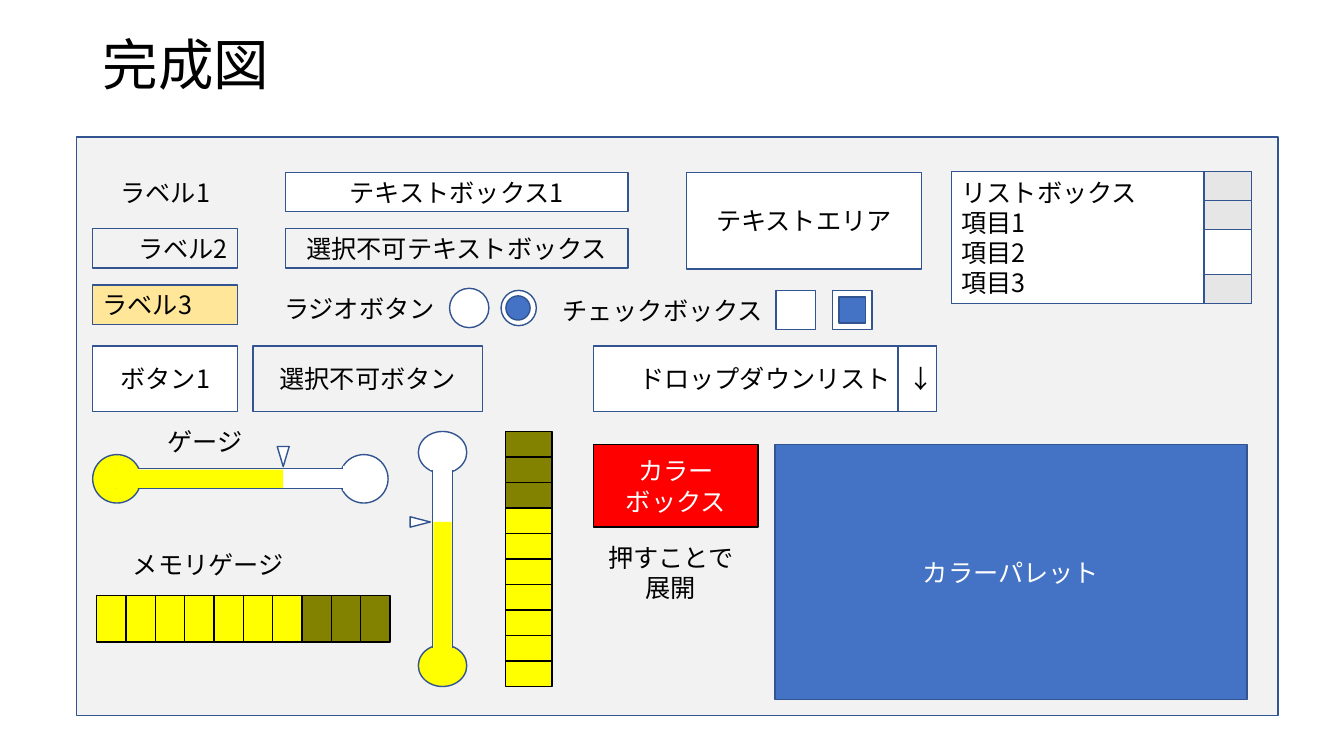
from lxml import etree
from pptx import Presentation
from pptx.dml.color import RGBColor
from pptx.enum.shapes import MSO_SHAPE
from pptx.enum.text import MSO_ANCHOR, PP_ALIGN
from pptx.oxml.ns import qn
from pptx.util import Pt

RECT, OVAL, TRI = MSO_SHAPE.RECTANGLE, MSO_SHAPE.OVAL, MSO_SHAPE.ISOSCELES_TRIANGLE
LEFT, MID, RIGHT = PP_ALIGN.LEFT, PP_ALIGN.CENTER, PP_ALIGN.RIGHT
CENTRE = MSO_ANCHOR.MIDDLE
FONT = "Noto Sans CJK JP"
BLACK = RGBColor(0, 0, 0)
WHITE = RGBColor(255, 255, 255)
GREY = RGBColor(0xF2, 0xF2, 0xF2)
SILVER = RGBColor(0xE7, 0xE6, 0xE6)
NAVY = RGBColor(0x32, 0x54, 0x91)
BLUE = RGBColor(0x44, 0x72, 0xC4)
CREAM = RGBColor(0xFF, 0xE6, 0x99)
YELLOW = RGBColor(255, 255, 0)
OLIVE = RGBColor(0x82, 0x82, 0)
RED = RGBColor(255, 0, 0)


def apply(item, values):
    """Set each named value on an item."""
    for name, value in values.items():
        setattr(item, name, value)


def write(shape, text, color=BLACK, align=MID, size=18, space=None):
    """Put formatted text in a shape."""
    frame = shape.text_frame
    frame.text = text
    apply(frame, {"word_wrap": True, "vertical_anchor": CENTRE})
    for para in frame.paragraphs:
        apply(para, {"alignment": align, "line_spacing": space})
        for run in para.runs:
            apply(run.font, {"name": FONT, "size": Pt(size)})
            run.font.color.rgb = color
            etree.SubElement(run.font._element, qn("a:ea"), typeface=FONT)


def note(slide, box, text, **style):
    """Add plain text."""
    write(slide.shapes.add_textbox(*map(Pt, box)), text, **style)


def part(slide, box, fill=WHITE, line=NAVY, kind=RECT, text="", **style):
    """Add a shape; a fill or line of None is not drawn."""
    shape = slide.shapes.add_shape(kind, *map(Pt, box))
    shape.shadow.inherit = False
    if fill is None:
        shape.fill.background()
    else:
        shape.fill.solid()
        shape.fill.fore_color.rgb = fill
    if line is None:
        shape.line.fill.background()
    else:
        shape.line.color.rgb = line
        shape.line.width = Pt(1)
    if text:
        write(shape, text, **style)
    return shape


def heading(slide, box):
    """Fill and place the title."""
    title = slide.shapes.title
    apply(title, dict(zip(("left", "top", "width", "height"), map(Pt, box))))
    write(title, "完成図", align=LEFT, size=39.6, space=0.9)


def labels(slide, box):
    """Stack three labels."""
    x, y, w, h = box
    step = 40.3
    note(slide, box, "ラベル1")
    part(slide, (x, y + step, w, h), None, text="ラベル2", align=RIGHT)
    part(slide, (x, y + 2 * step, w, h), CREAM, text="ラベル3", align=LEFT)


def fields(slide, box):
    """Stack the open and the locked text field."""
    x, y, w, h = box
    part(slide, box, text="テキストボックス1")
    part(slide, (x, y + 40.3, w, h), GREY, text="選択不可テキストボックス")


def buttons(slide, box):
    """Set the open and the locked button side by side."""
    x, y, w, h = box
    part(slide, (x, y, 103.7, h), text="ボタン1")
    part(slide, (x + w - 164.2, y, 164.2, h), GREY, text="選択不可ボタン")


def choice(slide, box, name, kind, marks):
    """Add a caption and its marks, each (offset, size, fill)."""
    x, y, w, h = box
    note(slide, box, name)
    for off, size, fill in marks:
        place = (x + w + off, y + (h - size) / 2, size, size)
        part(slide, place, fill, kind=kind)


def drop(slide, box):
    """Add the drop-down list and its arrow."""
    x, y, w, h = box
    part(slide, box, text="ドロップダウンリスト")
    part(slide, (x + w - 27.4, y, 27.4, h), text="↓")


def items(slide, box):
    """Add the list box with its scroll bar."""
    x, y, w, h = box
    bar, key = 34, 20.8
    text = "リストボックス\n項目1\n項目2\n項目3"
    part(slide, box, text=text, align=LEFT, space=Pt(21.6))
    left = x + w - bar
    part(slide, (left, y, bar, h))
    for top in (y, y + h - key, y + key):
        part(slide, (left, top, bar, key), SILVER)


def gauge(slide, box, upright=False):
    """Add a gauge that fills from the left, or from the foot if upright."""
    x, y, w, h = box
    scale = (h if upright else w) / 211
    # start, offset across, length, thickness
    rows = [
        (0, 0, 34.6, 34.6, YELLOW, NAVY, OVAL),
        (176.4, 0, 34.6, 34.6, WHITE, NAVY, OVAL),
        (17.3, 10.1, 173.5, 14.4, WHITE, NAVY, RECT),
        (17.3, 10.1, 14.4, 14.4, YELLOW, YELLOW, RECT),
        (179.3, 8.6, 14.4, 17.3, WHITE, WHITE, RECT),
        (131.8, -5.8, 8.6, 14.4, WHITE, NAVY, TRI),
        (28.1, 10.8, 108, 13, YELLOW, None, RECT),
    ]
    for start, off, size, thick, fill, line, kind in rows:
        start, size = start * scale, size * scale
        if upright:
            mid_x, mid_y = x + off + thick / 2, y + h - start - size / 2
        else:
            mid_x, mid_y = x + start + size / 2, y + off + thick / 2
        wide, tall = size, thick
        if upright and kind != TRI:
            wide, tall = thick, size
        place = (mid_x - wide / 2, mid_y - tall / 2, wide, tall)
        shape = part(slide, place, fill, line, kind)
        if kind == TRI:
            shape.rotation = 90 if upright else 180


def meter(slide, box, upright=False):
    """Add ten cells, the first seven of them lit."""
    x, y, w, h = box
    for i in range(10):
        if upright:
            cell = (x, y + h * (9 - i) / 10, w, h / 10)
        else:
            cell = (x + w * i / 10, y, w / 10, h)
        part(slide, cell, YELLOW if i < 7 else OLIVE, BLACK)


def colors(slide, box):
    """Add the colour box, its hint and the palette."""
    x, y, w, h = box
    part(slide, (x, y, 117.4, 59), RED, BLACK, text="カラー\vボックス",
         color=WHITE, space=Pt(21.6))
    note(slide, (x - 7.9, y + 78.5, 126, 25.2), "押すことで\v展開", space=Pt(21.6))
    part(slide, (x + 129.6, y, w - 129.6, h), BLUE, text="カラーパレット", color=WHITE)


def main():
    """Build the slide."""
    deck = Presentation()
    apply(deck, {"slide_width": Pt(960), "slide_height": Pt(540)})
    slide = deck.slides.add_slide(deck.slide_layouts[5])
    heading(slide, (66.2, 28.8, 828, 38.9))
    part(slide, (54.7, 97.9, 858.2, 413.3), GREY)
    labels(slide, (66.2, 123.1, 103.7, 28.1))
    fields(slide, (203.8, 123.1, 244.8, 28.1))
    buttons(slide, (66.2, 247, 278.6, 46.8))
    part(slide, (490.3, 123.1, 167.8, 69.1), text="テキストエリア")
    choice(slide, (193.7, 207.4, 126, 25.2), "ラジオボタン", OVAL,
           [(1.4, 28.1, WHITE), (38.2, 25.2, WHITE), (41.7, 17.3, BLUE)])
    choice(slide, (392.4, 209.5, 162, 24), "チェックボックス", RECT,
           [(0, 28.1, WHITE), (40.3, 28.1, WHITE), (45, 18.7, BLUE)])
    drop(slide, (424.1, 247, 244.8, 46.8))
    items(slide, (679.7, 122.4, 214.4, 94.3))
    gauge(slide, (66.2, 324.7, 211, 34.6))
    note(slide, (83.5, 302.4, 126, 25.2), "ゲージ")
    gauge(slide, (298.8, 308.2, 34.6, 182.2), upright=True)
    meter(slide, (69.1, 425.5, 209.5, 33.1))
    meter(slide, (361.1, 308.2, 33.1, 182.2), upright=True)
    note(slide, (85.7, 390.2, 126, 25.2), "メモリゲージ")
    colors(slide, (424.1, 317.5, 466.6, 182.2))
    deck.save("out.pptx")


main()
